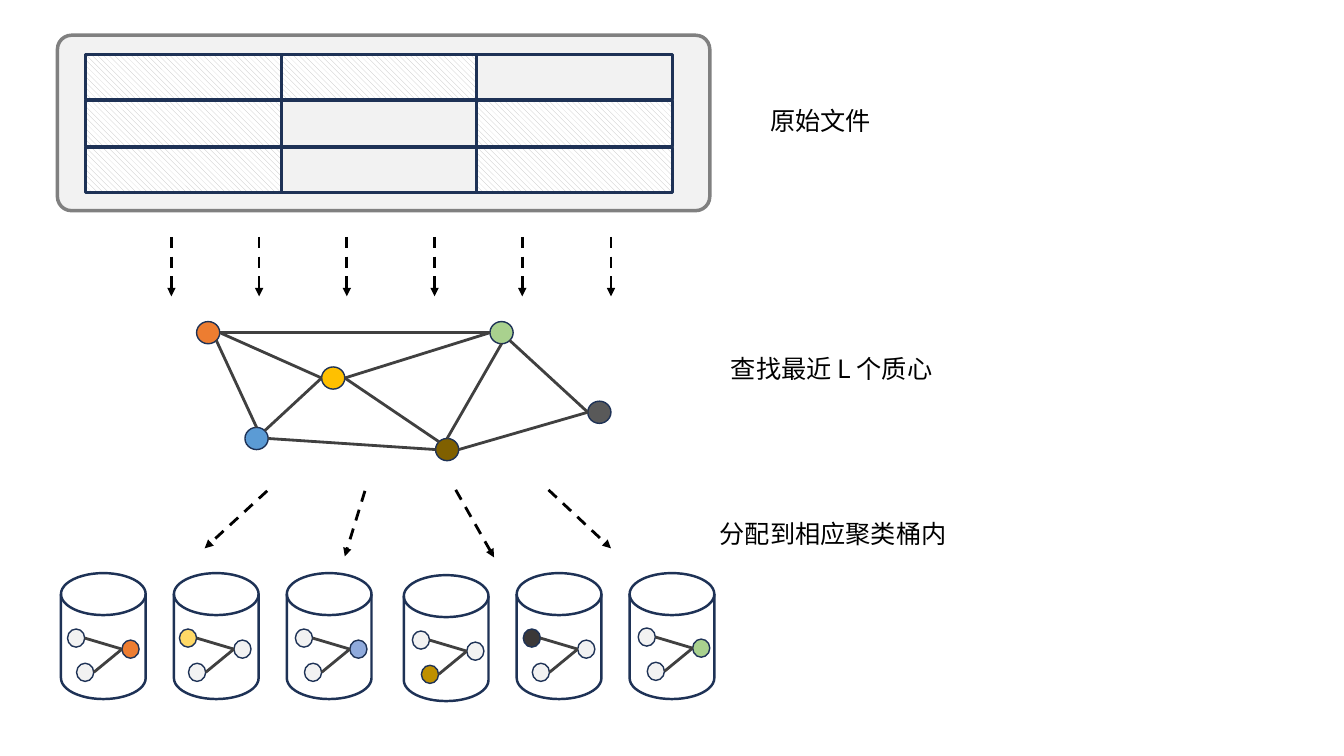
from lxml.etree import SubElement
from pptx import Presentation
from pptx.dml.color import RGBColor
from pptx.enum.dml import MSO_LINE, MSO_PATTERN
from pptx.enum.shapes import MSO_CONNECTOR, MSO_SHAPE as SHAPE
from pptx.oxml.ns import qn
from pptx.util import Pt

PX = 9144  # 100 px to the inch
FONT = "Noto Sans CJK SC"
COLORS = {
    "navy": "1E3256", "panel": "F2F2F2", "frame": "808080", "hatch": "BFBFBF",
    "white": "FFFFFF", "black": "000000", "edge": "404040",
    "orange": "ED7D31", "blue": "5B9BD5", "yellow": "FFC000", "brown": "806000",
    "green": "A9D18E", "grey": "595959", "pale yellow": "FFD966",
    "periwinkle": "8FAADC", "ochre": "BF9000", "charcoal": "3B3838",
}

# Points on a node's outline, from its centre, in half widths
COMPASS = {"N": (0, -1), "S": (0, 1), "E": (1, 0), "W": (-1, 0),
           "NE": (0.7, -0.7), "NW": (-0.7, -0.7), "SE": (0.7, 0.7)}

CENTROIDS = {
    "orange": (0, 0), "blue": (48, 105), "yellow": (124, 45),
    "brown": (237, 116), "green": (291, 0), "grey": (388, 79),
}
CENTROID_EDGES = [
    ("orange", "E", "yellow", "W"), ("blue", "NE", "yellow", "W"),
    ("green", "W", "yellow", "E"), ("green", "S", "brown", "N"),
    ("brown", "NW", "yellow", "E"), ("brown", "E", "grey", "W"),
    ("green", "SE", "grey", "W"), ("brown", "W", "blue", "E"),
    ("orange", "SE", "blue", "N"), ("orange", "E", "green", "W"),
]
MEMBERS = {"upper": (0, 0), "lower": (9, 34), "right": (54, 11)}
MEMBER_EDGES = [("upper", "E", "right", "W"), ("lower", "E", "right", "W")]

# Bucket left and top, graph left and top, coloured member, its colour
BUCKETS = [
    (40, 589, 67, 624, "right", "orange"),
    (152, 589, 178, 624, "upper", "pale yellow"),
    (264, 589, 293, 624, "right", "periwinkle"),
    (380, 591, 409, 626, "lower", "ochre"),
    (492, 589, 519, 624, "upper", "charcoal"),
    (604, 589, 633, 623, "right", "green"),
]


def rgb(color):
    return RGBColor.from_string(COLORS[color])


def add_outline(shapes, kind, box, fill, line, width):
    shape = shapes.add_shape(kind, *(n * PX for n in box))
    shape.shadow.inherit = False
    if fill:
        shape.fill.solid()
        shape.fill.fore_color.rgb = rgb(fill)
    else:
        shape.fill.background()
    shape.line.color.rgb = rgb(line)
    shape.line.width = Pt(width)
    return shape


def add_line(shapes, start, end, color):
    line = shapes.add_connector(
        MSO_CONNECTOR.STRAIGHT, *(round(n * PX) for n in (*start, *end)))
    line.line.color.rgb = rgb(color)
    line.line.width = Pt(2)
    SubElement(line._element.spPr, qn("a:effectLst"))
    return line


def add_arrow(shapes, start, end):
    arrow = add_line(shapes, start, end, "black")
    arrow.line.dash_style = MSO_LINE.DASH
    SubElement(arrow.line._get_or_add_ln(), qn("a:tailEnd"), type="triangle")


def add_source_file(slide, left, top, width, height):
    panel = add_outline(slide.shapes, SHAPE.ROUNDED_RECTANGLE,
                        (left, top, width, height), "panel", "frame", 2.5)
    panel.adjustments[0] = 0.08
    # Grid of records; one cell in each row stays plain
    records = slide.shapes.add_group_shape().shapes
    for row, plain in enumerate((2, 1, 1)):
        for column in range(3):
            box = (left + 28 + 194 * column, top + 19 + 46 * row, 194, 45)
            record = add_outline(records, SHAPE.RECTANGLE, box, None, "navy", 2.25)
            if column != plain:
                record.fill.patterned()
                record.fill.pattern = MSO_PATTERN.WIDE_DOWNWARD_DIAGONAL
                record.fill.fore_color.rgb = rgb("hatch")
                record.fill.back_color.rgb = rgb("white")


def add_graph(slide, left, top, node_size, nodes, edges, fills):
    graph = slide.shapes.add_group_shape().shapes
    width, height = node_size
    for name, (x, y) in nodes.items():
        add_outline(graph, SHAPE.OVAL, (left + x, top + y, width, height),
                    fills.get(name, "panel"), "navy", 1)

    def site(name, direction):
        x, y = nodes[name]
        dx, dy = COMPASS[direction]
        return left + x + width * (1 + dx) / 2, top + y + height * (1 + dy) / 2

    for first, leaving, second, entering in edges:
        add_line(graph, site(first, leaving), site(second, entering), "edge")


def add_bucket(slide, left, top, graph_left, graph_top, member, color):
    drum = add_outline(slide.shapes, SHAPE.FLOWCHART_DIRECT_ACCESS_STORAGE,
                       (left, top, 125, 84), None, "navy", 1.75)
    drum.rotation = 270
    add_graph(slide, graph_left, graph_top, (17, 18), MEMBERS, MEMBER_EDGES,
              {member: color})


def add_label(slide, left, top, width, wording):
    label = slide.shapes.add_textbox(left * PX, top * PX, width * PX, 40 * PX)
    label.text_frame.word_wrap = True
    paragraph = label.text_frame.paragraphs[0]
    paragraph.text = wording
    font = paragraph.font
    font.size = Pt(18)
    font.color.rgb = rgb("black")
    font.name = FONT
    SubElement(font._element, qn("a:ea"), typeface=FONT)


def main():
    deck = Presentation()
    deck.slide_width, deck.slide_height = 1333 * PX, 750 * PX
    slide = deck.slides.add_slide(deck.slide_layouts[6])

    # Source file and the arrows that leave it
    add_source_file(slide, 57, 35, 647, 174)
    for step in range(6):
        x = 170 + 436 * step // 5
        add_arrow(slide.shapes, (x, 235), (x, 294))

    # Centroid graph and the arrows to the buckets
    add_graph(slide, 195, 319, (23, 22), CENTROIDS, CENTROID_EDGES,
              {name: name for name in CENTROIDS})
    for start, end in (((265, 487), (203, 544)), ((362, 487), (342, 552)),
                       ((452, 486), (490, 553)), ((544, 486), (606, 544))):
        add_arrow(slide.shapes, start, end)

    # Cluster buckets
    for bucket in BUCKETS:
        add_bucket(slide, *bucket)

    # Stage labels
    add_label(slide, 754, 100, 121, "原始文件")
    add_label(slide, 715, 346, 225, "查找最近 L 个质心")
    add_label(slide, 704, 509, 247, "分配到相应聚类桶内")

    deck.save("out.pptx")


if __name__ == "__main__":
    main()
